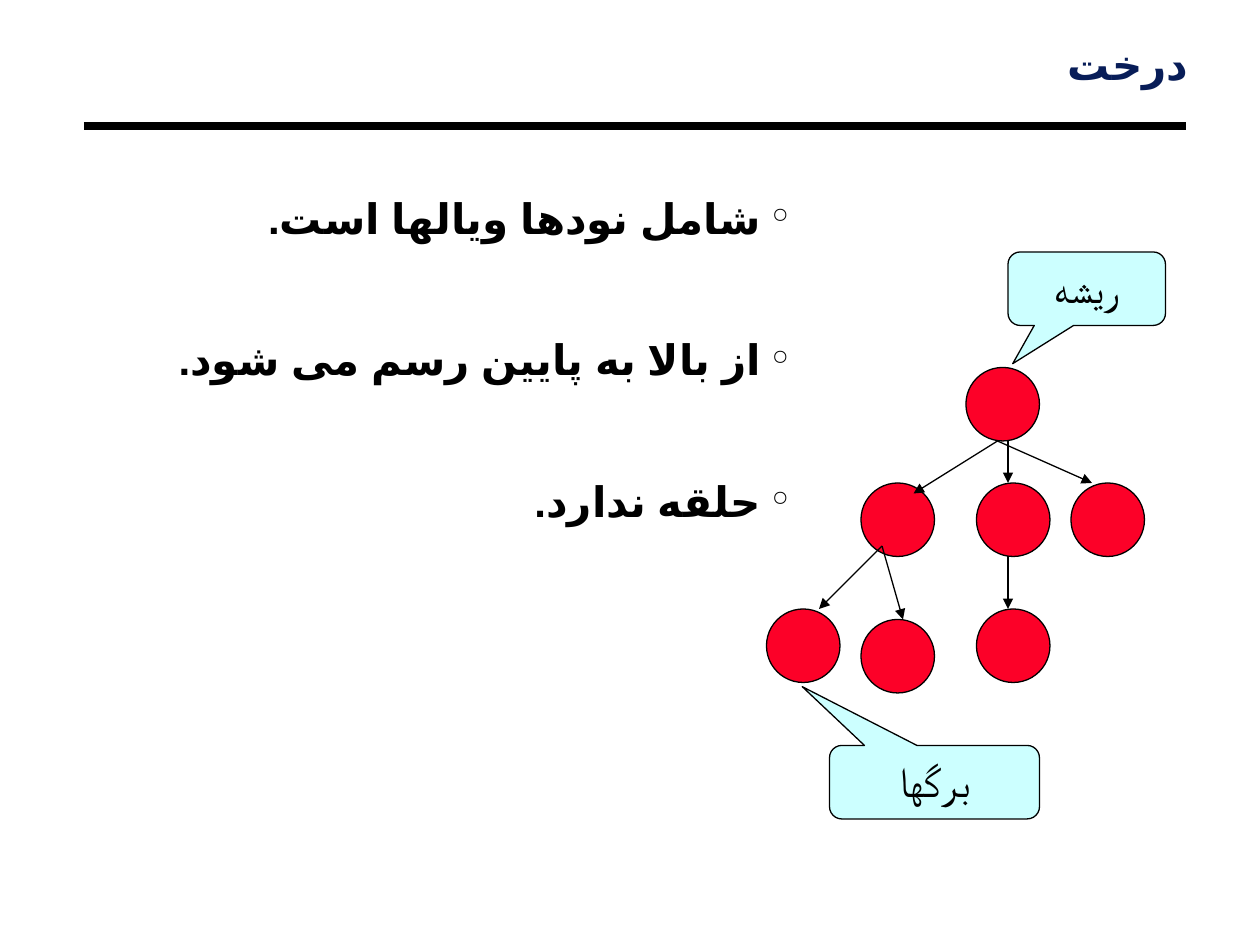
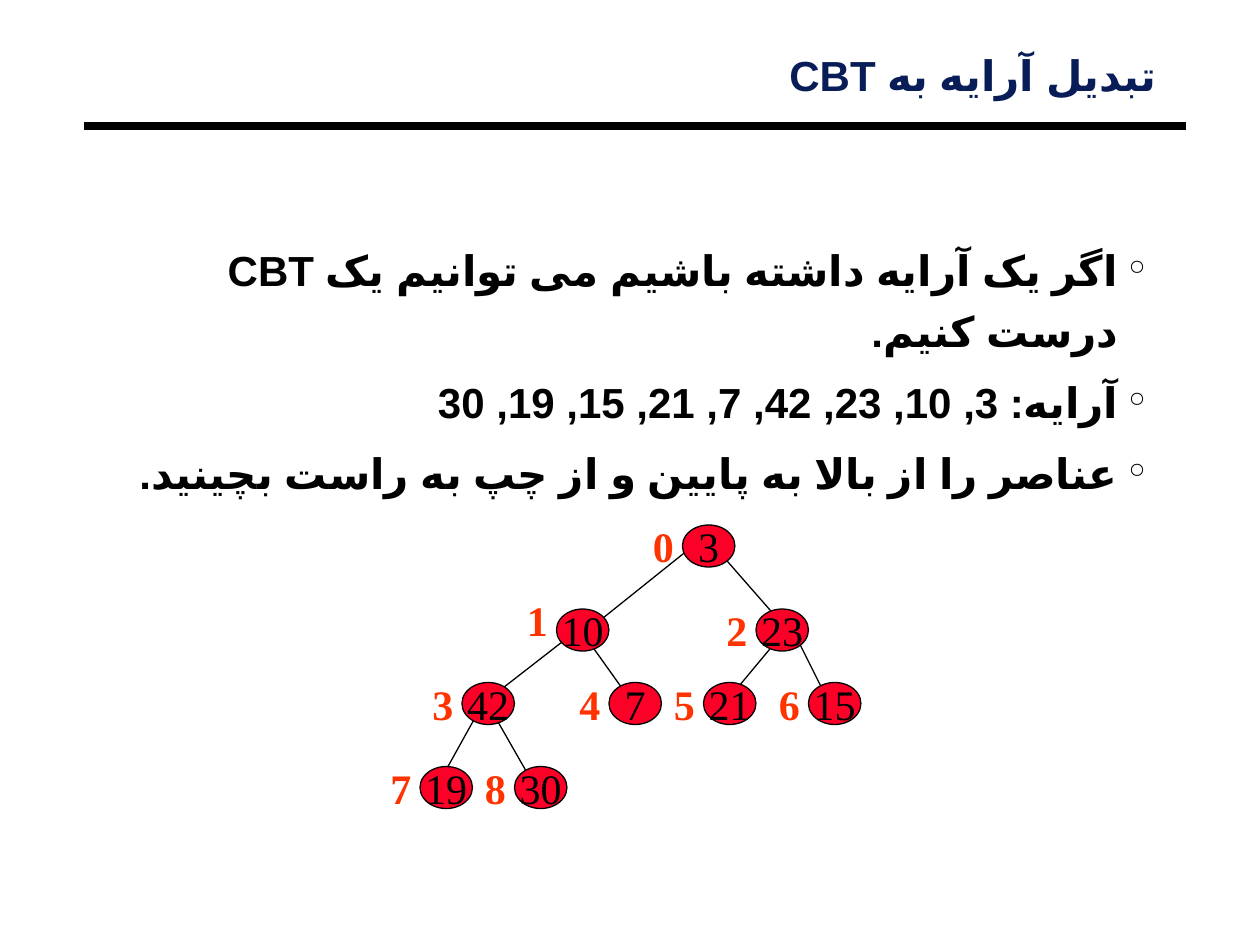
"""Build two slides on trees: their parts, and turning an array into a CBT."""
import pptx
import pptx.util
import pptx.dml.color
import pptx.enum.lang
import pptx.enum.shapes
import pptx.enum.text
import pptx.oxml.ns
import lxml.etree

Pt = pptx.util.Pt
Kind = pptx.enum.shapes.MSO_SHAPE
Align = pptx.enum.text.PP_ALIGN
Anchor = pptx.enum.text.MSO_ANCHOR
rgb = pptx.dml.color.RGBColor.from_string
qn = pptx.oxml.ns.qn
sub = lxml.etree.SubElement

HUES = {"ink": "000000", "title": "081D58", "node": "FC0128", "note": "CCFFFF", "mark": "FF3300"}

deck = pptx.Presentation()
deck.slide_width = pptx.util.Inches(10)
deck.slide_height = pptx.util.Inches(7.5)
CELL = deck.slide_width // 120


def put(page, text, box, kind=None, fill="node", font="Times New Roman", hue="ink", bold=False,
        align=Align.LEFT, rtl=False, bullet=None, lead=None, gap=0, pad=(7.2, 3.6),
        wrap=True, anchor=Anchor.TOP):
    area = [CELL * n for n in box]
    if kind is None:
        shape = page.shapes.add_textbox(*area)
    else:
        shape = page.shapes.add_shape(kind, *area)
        shape.shadow.inherit = False
        shape.fill.solid()
        shape.fill.fore_color.rgb = rgb(HUES[fill])
        shape.line.color.rgb = rgb(HUES["ink"])
        shape.line.width = Pt(0.75)
    frame = shape.text_frame
    frame.word_wrap = wrap
    frame.vertical_anchor = anchor
    frame.margin_left = frame.margin_right = Pt(pad[0])
    frame.margin_top = frame.margin_bottom = Pt(pad[1])
    for row, words in enumerate(text.split("\n") if text else []):
        para = frame.paragraphs[0] if row == 0 else frame.add_paragraph()
        props = para._p.get_or_add_pPr()
        if rtl:
            props.set("rtl", "1")
        if bullet:
            props.set("marL", str(Pt(16)))
            props.set("indent", str(-Pt(16)))
            tint = sub(props, qn("a:buClr"))
            sub(tint, qn("a:srgbClr"), val=HUES["ink"])
            sub(props, qn("a:buChar"), char=bullet)
        para.alignment = align
        if lead:
            para.line_spacing = lead
        if row:
            para.space_before = Pt(gap)
        run = para.add_run()
        run.text = words
        run.font.size = Pt(24)
        run.font.name = font
        run.font.bold = bold
        run.font.color.rgb = rgb(HUES[hue])
        run.font.language_id = pptx.enum.lang.MSO_LANGUAGE_ID.FARSI
        sub(run.font._element, qn("a:cs"), typeface=font)
    return shape


def link(page, start, end, width=0.75, arrow=False):
    ends = [CELL * n for n in start + end]
    line = page.shapes.add_connector(pptx.enum.shapes.MSO_CONNECTOR.STRAIGHT, *ends)
    line.line.width = Pt(width)
    line.line.color.rgb = rgb(HUES["ink"])
    if arrow:
        sub(line.line._get_or_add_ln(), qn("a:tailEnd"), type="triangle")
    sub(line._element.spPr, qn("a:effectLst"))


TEXT = dict(font="Arial", bold=True, align=Align.RIGHT, rtl=True, pad=(5, 2))
pages = []
for title, spot, body, area, gap in [
    ("درخت", (8, 4, 106, 6),
     "شامل نودها ویالها است.\nاز بالا به پایین رسم می شود.\nحلقه ندارد.",
     (10, 17, 66, 34), 46.5),
    ("تبدیل آرایه به CBT", (9, 5, 102, 5),
     "اگر یک آرایه داشته باشیم می توانیم یک CBT درست کنیم.\n"
     "آرایه: 3, 10, 23, 42, 7, 21, 15, 19, 30\n"
     "عناصر را از بالا به پایین و از چپ به راست بچینید.",
     (8, 22, 102, 26), 6),
]:
    page = deck.slides.add_slide(deck.slide_layouts[6])
    link(page, (8, 12), (113, 12), width=4.5)
    put(page, title, spot, hue="title", lead=0.87, **TEXT)
    put(page, body, area, bullet="°", lead=1.2, gap=gap, **TEXT)
    pages.append(page)
tree, heap = pages

for left, top in [(92, 35), (82, 46), (93, 46), (102, 46), (73, 58), (82, 59), (93, 58)]:
    put(tree, "", (left, top, 7, 7), Kind.OVAL)
for start, end in [
    ((95, 42), (87, 47)), ((96, 42), (96, 46)), ((95, 42), (104, 46)),
    ((96, 53), (96, 58)), ((84, 52), (78, 58)), ((84, 52), (86, 59)),
]:
    link(tree, start, end, arrow=True)
for word, box, tip in [
    ("برگها", (79, 71, 20, 7), (-0.63, -1.3)),
    ("ریشه", (96, 24, 15, 7), (-0.47, 1.02)),
]:
    note = put(tree, word, box, Kind.ROUNDED_RECTANGULAR_CALLOUT, fill="note", align=Align.CENTER)
    note.adjustments[0], note.adjustments[1] = tip

for start, end in [
    ((66, 52), (56, 60)), ((55, 60), (46, 67)), ((46, 67), (41, 76)), ((47, 68), (51, 75)),
    ((56, 61), (61, 68)), ((68, 52), (75, 60)), ((74, 61), (69, 67)), ((76, 61), (79, 67)),
]:
    link(heap, start, end)
items = [
    (3, 65, 50), (10, 53, 58), (23, 72, 58), (42, 44, 65), (7, 58, 65),
    (21, 67, 65), (15, 77, 65), (19, 40, 73), (30, 49, 73),
]
for index, (value, left, top) in enumerate(items):
    put(heap, str(value), (left, top, 5, 4), Kind.OVAL, align=Align.CENTER,
        wrap=False, anchor=Anchor.MIDDLE)
    rise = 2 if index == 1 else 1
    put(heap, str(index), (left - 4, top - rise, 6, 6), hue="mark", bold=True)

deck.save("out.pptx")
